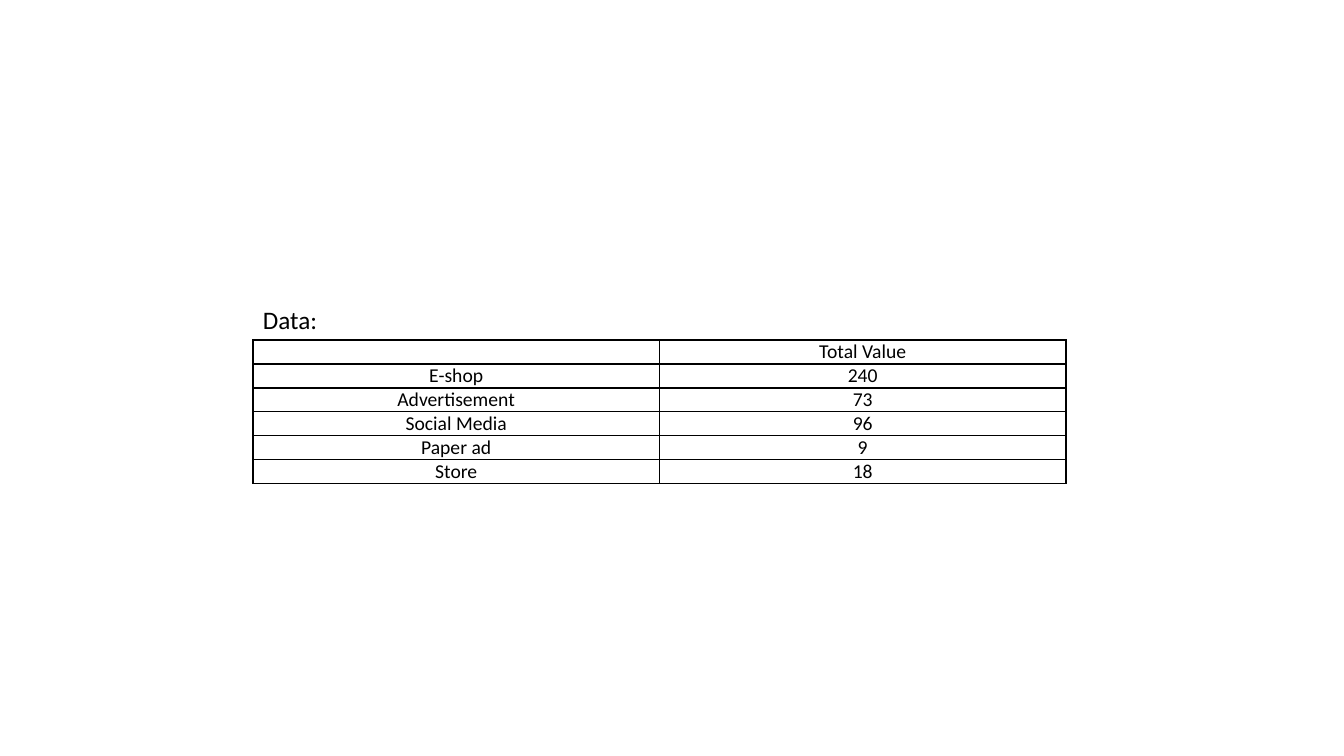
from lxml.etree import SubElement
from pptx import Presentation
from pptx.dml.color import RGBColor
from pptx.enum.text import MSO_ANCHOR, PP_ALIGN
from pptx.oxml.ns import qn
from pptx.util import Pt

EMU_PER_PX = 914400 / 100.8
BLACK = "000000"
ROWS = [
    ("", "Total Value"),
    ("E-shop", "240"),
    ("Advertisement", "73"),
    ("Social Media", "96"),
    ("Paper ad", "9"),
    ("Store", "18"),
]


def px(n):
    return round(n * EMU_PER_PX)


def color(value):
    return RGBColor.from_string(value)


def set_font(p, size):
    p.font.name = "Calibri"
    p.font.size = Pt(size)
    p.font.color.rgb = color(BLACK)


def add_label(s, text, x, y, w, h):
    tf = s.shapes.add_textbox(px(x), px(y), px(w), px(h)).text_frame
    tf.word_wrap = True
    p = tf.paragraphs[0]
    p.text = text
    set_font(p, 18)


def set_borders(cell, value, width):
    tcPr = cell._tc.get_or_add_tcPr()
    for side in ("lnL", "lnR", "lnT", "lnB"):
        ln = SubElement(tcPr, qn(f"a:{side}"), w=str(Pt(width)))
        fill = SubElement(ln, qn("a:solidFill"))
        SubElement(fill, qn("a:srgbClr"), val=value)


def format_cell(cell, text):
    cell.margin_left = cell.margin_right = cell.margin_top = cell.margin_bottom = 0
    cell.vertical_anchor = MSO_ANCHOR.MIDDLE
    set_borders(cell, BLACK, 1)
    cell.fill.background()
    p = cell.text_frame.paragraphs[0]
    p.alignment = PP_ALIGN.CENTER
    if text:
        p.text = text
    set_font(p, 14)
    # An empty cell takes its line height from the end-of-paragraph size
    if not text:
        SubElement(p._p, qn("a:endParaRPr"), sz="1400")


def add_data_table(s, rows, x, y, w, row_h):
    table = s.shapes.add_table(
        len(rows), len(rows[0]), px(x), px(y), px(w), px(row_h * len(rows))
    ).table
    table.first_row = table.horz_banding = False
    for row, values in zip(table.rows, rows):
        row.height = px(row_h)
        for cell, text in zip(row.cells, values):
            format_cell(cell, text)


def main():
    prs = Presentation()
    prs.slide_width, prs.slide_height = px(1344), px(756)
    s = prs.slides.add_slide(prs.slide_layouts[6])

    # Totals by channel
    add_data_table(s, ROWS, 253, 340, 813, 24)

    # Table caption
    add_label(s, "Data:", 253, 299, 207, 40)

    prs.save("out.pptx")


if __name__ == "__main__":
    main()
